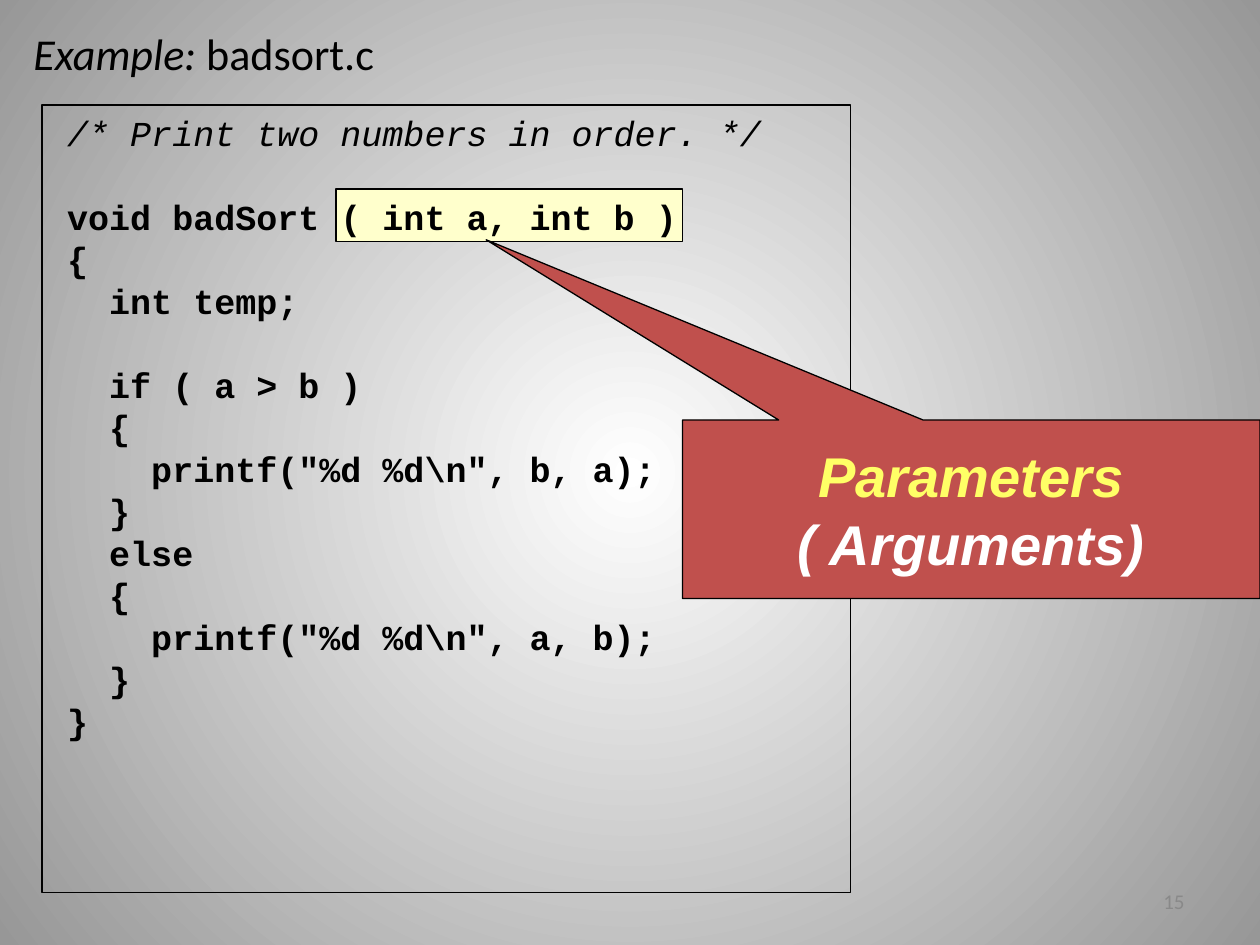
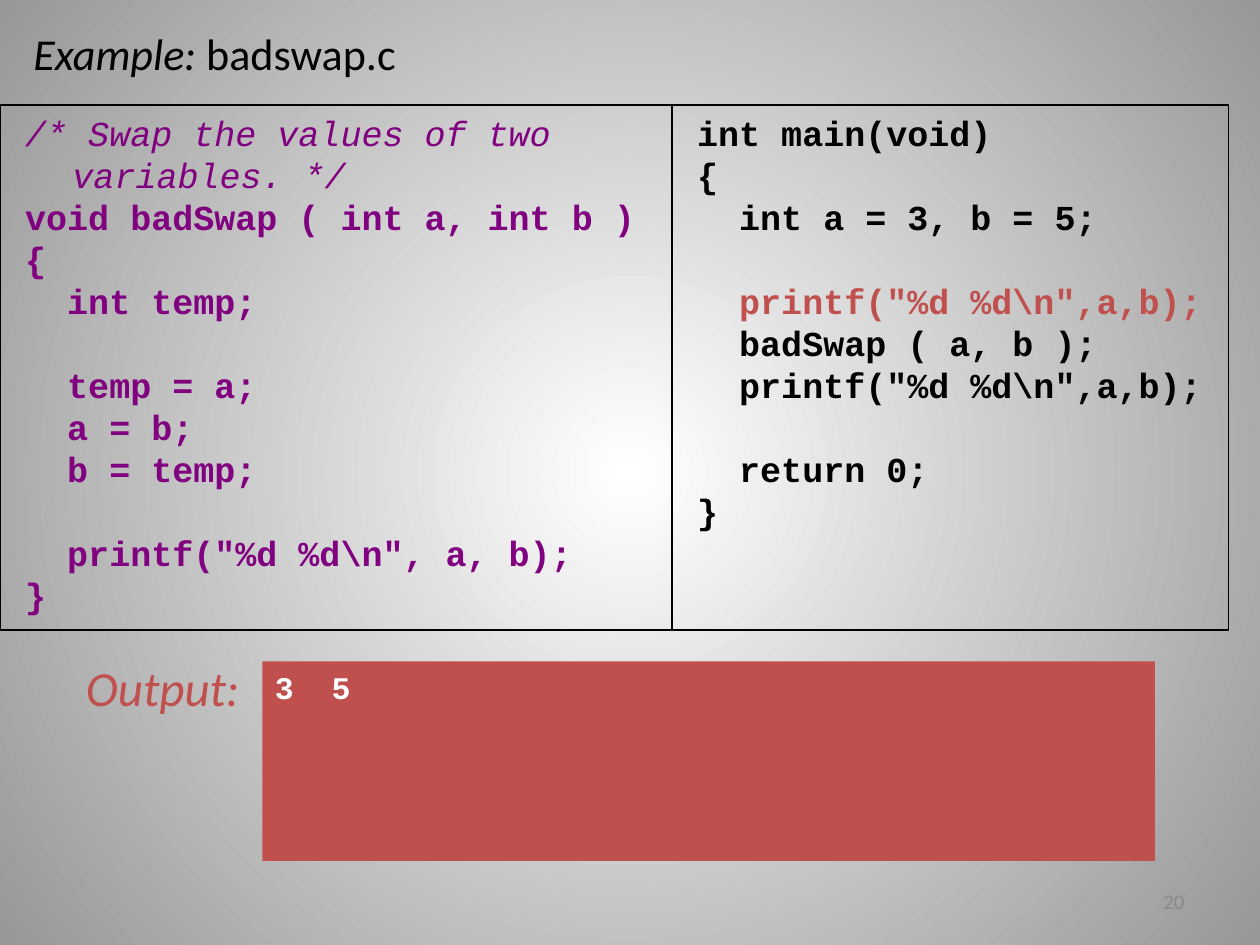
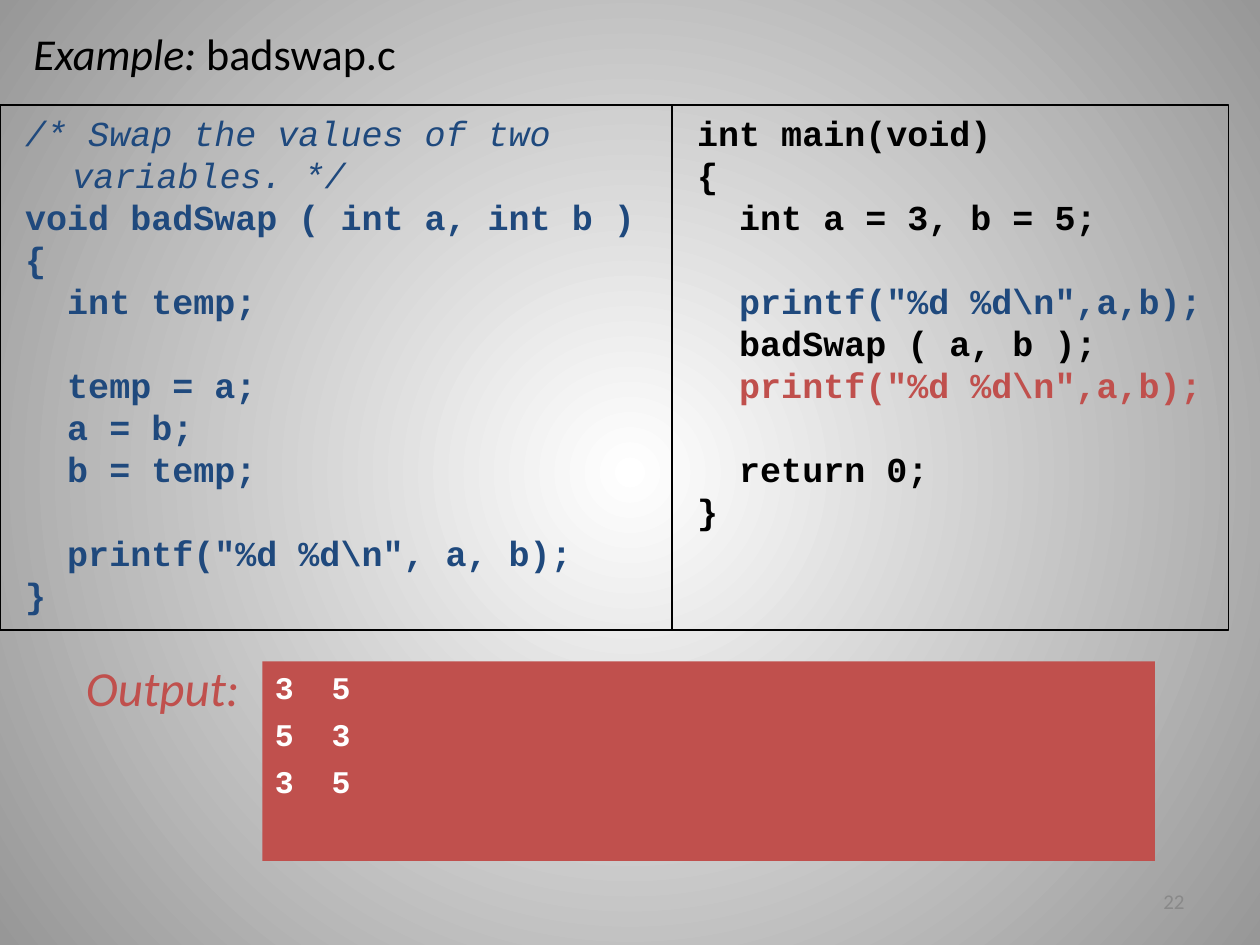
"""Build three slides on passing values to C functions."""
from dataclasses import dataclass
from typing import NamedTuple

from lxml import etree
from pptx import Presentation
from pptx import util as u
from pptx.dml.color import RGBColor
from pptx.enum import shapes, text
from pptx.oxml.ns import qn

PX = 7620


@dataclass(frozen=True)
class Theme:
    black: str = "000000"
    white: str = "FFFFFF"
    edge: str = "979797"
    red: str = "C0504D"
    blue: str = "1F497D"
    plum: str = "800080"
    cream: str = "FFFFCC"
    lemon: str = "FFFF66"
    gray: str = "898989"
    sans: str = "Calibri"
    mono: str = "Courier New"
    call: str = "Arial"
    head: float = 25.2
    code: int = 20
    lead: int = 24
    label: int = 28
    out: int = 18
    gap: float = 5.5
    big: int = 32
    page: int = 12


T = Theme()


class Box(NamedTuple):
    x: int
    y: int
    w: int
    h: int


class Face(NamedTuple):
    name: str
    size: float
    ink: str
    bold: bool = False
    ital: bool = False


class Code(NamedTuple):
    box: Box
    body: str
    ink: str
    marks: dict[int, str]


class Swap(NamedTuple):
    page: int
    ink: str
    marks: dict[int, str]
    rows: list[str]


TITLE = Box(20, 20, 460, 60)
PAGE = Box(860, 834, 280, 48)
SORT = Box(40, 100, 770, 750)
LEFT = Box(0, 100, 640, 500)
RIGHT = Box(640, 100, 530, 500)
LABEL = Box(70, 620, 170, 68)
OUTPUT = Box(250, 630, 850, 190)
PARAMS = Box(320, 180, 330, 50)
CALLOUT = Box(650, 400, 550, 170)

SORT_C = r'''/* Print two numbers in order. */

void badSort ( int a, int b )
{
  int temp;

  if ( a > b )
  {
    printf("%d %d\n", b, a);
  }
  else
  {
    printf("%d %d\n", a, b);
  }
}'''

SWAP_C = r'''/* Swap the values of two variables. */
void badSwap ( int a, int b )
{
  int temp;

  temp = a;
  a = b;
  b = temp;

  printf("%d %d\n", a, b);
}'''

MAIN_C = r'''int main(void)
{
  int a = 3, b = 5;

  printf("%d %d\n",a,b);
  badSwap ( a, b );
  printf("%d %d\n",a,b);

  return 0;
}'''

SWAPS = [
    Swap(20, T.plum, {4: T.red}, ["3\t5"]),
    Swap(22, T.blue, {4: T.blue, 6: T.red}, ["3\t5", "5\t3", "3\t5"]),
]


def px(num: int) -> u.Emu:
    """Turn px into EMU."""
    return u.Emu(num * PX)


def rgb(ink: str) -> RGBColor:
    """Turn a hex string into a colour."""
    return RGBColor.from_string(ink)


def style(font, face: Face) -> None:
    """Apply a face to a font."""
    font.name, font.size = face.name, u.Pt(face.size)
    font.bold, font.italic = face.bold, face.ital
    font.color.rgb = rgb(face.ink)


def setup(frame, pad: int = 12, mid: bool = False):
    """Set wrapping, insets and anchor of a text frame."""
    frame.word_wrap = True
    frame.margin_left, frame.margin_right = px(pad), px(12)
    frame.margin_top = frame.margin_bottom = px(6)
    anchor = text.MSO_ANCHOR
    frame.vertical_anchor = anchor.MIDDLE if mid else anchor.TOP
    return frame


def shape(slide, box: Box, fill: str = "", line: str = "",
          kind=shapes.MSO_SHAPE.RECTANGLE):
    """Draw a preset shape."""
    item = slide.shapes.add_shape(kind, *map(px, box))
    item.shadow.inherit = False
    if fill:
        item.fill.solid()
        item.fill.fore_color.rgb = rgb(fill)
    else:
        item.fill.background()
    if line:
        item.line.color.rgb = rgb(line)
        item.line.width = u.Pt(0.75)
    else:
        item.line.fill.background()
    return item


def label(slide, box: Box, words: str, face: Face, mid: bool = False):
    """Draw one line of text and return its paragraph."""
    frame = setup(slide.shapes.add_textbox(*map(px, box)).text_frame, mid=mid)
    para = frame.paragraphs[0]
    para.text = words
    style(para.font, face)
    return para


def listing(slide, code: Code) -> None:
    """Draw a framed code listing, with blank lines as spacing."""
    frame = setup(shape(slide, code.box, line=T.black).text_frame, pad=24)
    gap = False
    for num, row in enumerate(code.body.splitlines()):
        if not row:
            gap = True
            continue
        para = frame.add_paragraph() if num else frame.paragraphs[0]
        para.text = row
        para.alignment = text.PP_ALIGN.LEFT
        prop = para._p.get_or_add_pPr()
        prop.set("marL", str(px(45)))
        prop.set("indent", str(px(-45)))
        if gap:
            para.space_before = u.Pt(T.lead)
        note = row.startswith("/*")
        ink = code.marks.get(num, code.ink)
        style(para.font, Face(T.mono, T.code, ink, not note, note))
        gap = False


def output(slide, rows: list[str]) -> None:
    """Draw the output panel with its label."""
    label(slide, LABEL, "Output:", Face(T.sans, T.label, T.red, ital=True))
    frame = setup(shape(slide, OUTPUT, T.red).text_frame)
    for num, row in enumerate(rows):
        para = frame.add_paragraph() if num else frame.paragraphs[0]
        para.text = row
        para.alignment = text.PP_ALIGN.LEFT
        if num:
            para.space_before = u.Pt(T.gap)
        tabs = etree.SubElement(para._p.get_or_add_pPr(), qn("a:tabLst"))
        etree.SubElement(tabs, qn("a:tab"), pos=str(px(54)), algn="l")
        style(para.font, Face(T.mono, T.out, T.white, bold=True))


def callout(slide) -> None:
    """Draw the callout that names the parameters."""
    kind = shapes.MSO_SHAPE.RECTANGULAR_CALLOUT
    item = shape(slide, CALLOUT, T.red, T.black, kind)
    item.adjustments[0], item.adjustments[1] = -0.84, -1.51
    para = setup(item.text_frame, mid=True).paragraphs[0]
    para.alignment = text.PP_ALIGN.CENTER
    style(para.font, Face(T.call, T.big, T.white, True, True))
    for words, ink in (("Parameters ", T.lemon), ("( Arguments)", T.white)):
        run = para.add_run()
        run.text = words
        run.font.color.rgb = rgb(ink)


def backdrop(master) -> None:
    """Give the master a round gradient."""
    fill = master.background.fill
    fill.gradient()
    for stop, ink in zip(fill.gradient_stops, (T.white, T.edge)):
        stop.color.rgb = rgb(ink)
    grad = master.element.find(".//" + qn("a:gradFill"))
    grad.remove(grad.find(qn("a:lin")))
    ring = etree.SubElement(grad, qn("a:path"), path="circle")
    sides = dict.fromkeys("ltrb", "50000")
    etree.SubElement(ring, qn("a:fillToRect"), **sides)


def start(deck, name: str, page: int):
    """Add a slide with its title and page number."""
    slide = deck.slides.add_slide(deck.slide_layouts[6])
    para = label(slide, TITLE, "Example: ", Face(T.sans, T.head, T.black), True)
    para.runs[0].font.italic = True
    para.add_run().text = name
    face = Face(T.sans, T.page, T.gray)
    label(slide, PAGE, str(page), face, True).alignment = text.PP_ALIGN.RIGHT
    return slide


def main() -> None:
    """Build and save the deck."""
    deck = Presentation()
    deck.slide_width, deck.slide_height = px(1200), px(900)
    backdrop(deck.slide_master)
    slide = start(deck, "badsort.c", 15)
    shape(slide, PARAMS, T.cream, T.black)
    listing(slide, Code(SORT, SORT_C, T.black, {}))
    callout(slide)
    for swap in SWAPS:
        slide = start(deck, "badswap.c", swap.page)
        output(slide, swap.rows)
        listing(slide, Code(RIGHT, MAIN_C, T.black, swap.marks))
        listing(slide, Code(LEFT, SWAP_C, swap.ink, {}))
    deck.save("out.pptx")


if __name__ == "__main__":
    main()
